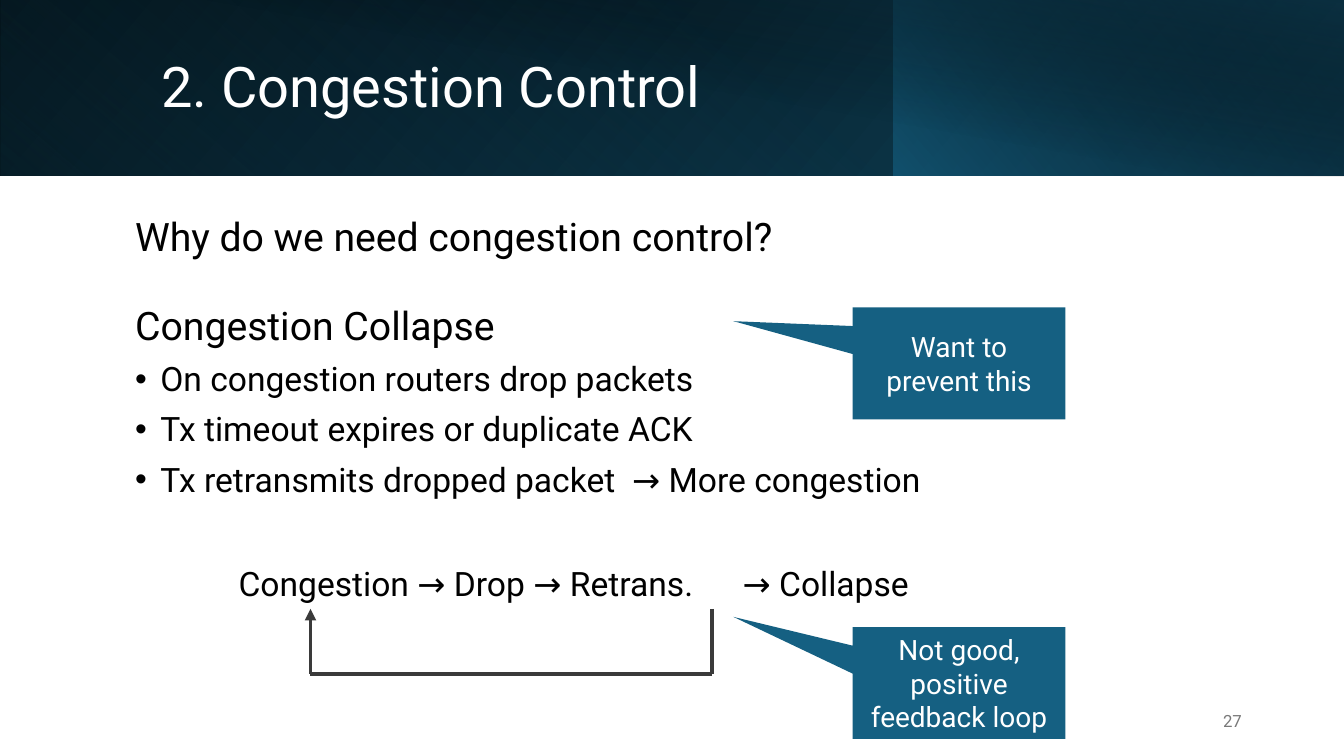
"""Build the congestion control slide with its feedback loop and two callouts."""
from lxml import etree
from pptx import Presentation, util as u
from pptx.dml.color import RGBColor
from pptx.enum import shapes, text
from pptx.oxml import ns

FONT = "Roboto"
COLORS = {
    "white": "FFFFFF", "black": "000000", "gray": "797979", "line": "3A3A3A",
    "teal": "156082", "deep": "104862", "navy": "0B3041",
}
TITLE = "2. Congestion Control"
QUESTION = "Why do we need congestion control?"
HEADING = "Congestion Collapse"
BULLETS = [
    "On congestion routers drop packets",
    "Tx timeout expires or duplicate ACK",
    "Tx retransmits dropped packet  → More congestion",
]
CHAIN = "Congestion → Drop → Retrans.\t→ Collapse"
CHAIN_TAB = 372
PAGE_NUMBER = "27"
CALLOUTS = [
    ("Not good, positive feedback loop", 447.9, -0.591),
    ("Want to prevent this", 219.6, -0.377),
]
CALLOUT_LEFT, CALLOUT_WIDTH, CALLOUT_HEIGHT, CALLOUT_TIP = 609.1, 151.9, 79.9, -1.061
LOOP = [(508.3, 434.9), (508.3, 481.2), (221.8, 481.2), (221.8, 434.9)]
BANDS = [
    {"box": (0, 0, 960, 125.3), "flip": True, "angle": 140,
     "stops": [(0, "black", 100), (100, "deep", 100)]},
    {"box": (0, 0, 639.4, 125.3), "flip": True, "turn": 180, "angle": 230,
     "stops": [(20, "teal", 0), (100, "navy", 55)]},
    {"box": (638.6, 0, 321.4, 125.3), "flip": True, "angle": 220,
     "stops": [(0, "teal", 66), (100, "black", 30)]},
    {"box": (36, 0, 924, 126), "angle": 280,
     "stops": [(50, "black", 0), (99, "navy", 52)]},
]


def rgb(name):
    return RGBColor.from_string(COLORS[name])


def add_child(parent, tag, **attributes):
    child = etree.SubElement(parent, ns.qn(tag))
    for key, value in attributes.items():
        child.set(key, str(value))
    return child


def place(shape, left, top, width, height):
    shape.left, shape.top = u.Pt(left), u.Pt(top)
    shape.width, shape.height = u.Pt(width), u.Pt(height)
    return shape


def prepare(shape, anchor=text.MSO_ANCHOR.TOP):
    frame = shape.text_frame
    frame.word_wrap = True
    frame.auto_size = text.MSO_AUTO_SIZE.NONE
    frame.vertical_anchor = anchor
    return frame


def write(para, content, size=24, color="black", align=text.PP_ALIGN.LEFT,
          before=0, after=0, spacing=1.0, bullet=False, tab=None):
    props = para._p.get_or_add_pPr()
    props.set("marL", str(u.Pt(18) if bullet else 0))
    props.set("indent", str(u.Pt(-18) if bullet else 0))
    if bullet:
        add_child(props, "a:buFont", typeface="Arial")
        add_child(props, "a:buChar", char="•")
    else:
        add_child(props, "a:buNone")
    if tab:
        add_child(add_child(props, "a:tabLst"), "a:tab", pos=u.Pt(tab), algn="l")
    para.alignment = align
    para.space_before, para.space_after = u.Pt(before), u.Pt(after)
    para.line_spacing = spacing
    span = para.add_run()
    span.text = content
    span.font.name, span.font.size = FONT, u.Pt(size)
    span.font.color.rgb = rgb(color)


def add_band(page, position, band):
    shape = page.shapes.add_shape(shapes.MSO_SHAPE.RECTANGLE, *map(u.Pt, band["box"]))
    shape.shadow.inherit = False
    shape.line.fill.background()
    shape.rotation = band.get("turn", 0)
    props = shape._element.spPr
    if band.get("flip"):
        props.find(ns.qn("a:xfrm")).set("flipH", "1")
    fill = etree.Element(ns.qn("a:gradFill"), rotWithShape="1")
    stops = add_child(fill, "a:gsLst")
    for offset, color, opacity in band["stops"]:
        stop = add_child(stops, "a:gs", pos=offset * 1000)
        tint = add_child(stop, "a:srgbClr", val=COLORS[color])
        if opacity < 100:
            add_child(tint, "a:alpha", val=opacity * 1000)
    add_child(fill, "a:lin", ang=band["angle"] * 60000, scaled=0)
    props.find(ns.qn("a:prstGeom")).addnext(fill)
    page.shapes._spTree.insert(2 + position, shape._element)


def add_loop(page):
    for start, end in zip(LOOP, LOOP[1:]):
        link = page.shapes.add_connector(
            shapes.MSO_CONNECTOR.STRAIGHT, *map(u.Pt, start + end))
        link.line.color.rgb = rgb("line")
        link.line.width = u.Pt(2.75)
        add_child(link._element.spPr, "a:effectLst")
        if end == LOOP[-1]:
            add_child(link.line._get_or_add_ln(), "a:tailEnd", type="triangle")


def add_callout(page, content, top, tip):
    shape = page.shapes.add_shape(
        shapes.MSO_SHAPE.RECTANGULAR_CALLOUT,
        *map(u.Pt, (CALLOUT_LEFT, top, CALLOUT_WIDTH, CALLOUT_HEIGHT)))
    shape.adjustments[0], shape.adjustments[1] = CALLOUT_TIP, tip
    shape.shadow.inherit = False
    shape.fill.solid()
    shape.fill.fore_color.rgb = rgb("teal")
    shape.line.fill.background()
    frame = prepare(shape, text.MSO_ANCHOR.MIDDLE)
    write(frame.paragraphs[0], content, size=20, color="white",
          align=text.PP_ALIGN.CENTER)


def main():
    deck = Presentation()
    deck.slide_width, deck.slide_height = u.Pt(960), u.Pt(540)
    page = deck.slides.add_slide(deck.slide_layouts[3])
    title, question, points = page.placeholders

    for position, band in enumerate(BANDS):
        add_band(page, position, band)

    place(title, 108, 23, 822.2, 81.4)
    write(prepare(title, text.MSO_ANCHOR.MIDDLE).paragraphs[0], TITLE,
          size=40, color="white", spacing=0.9)

    place(question, 89.3, 148.3, 822.2, 61.9)
    write(prepare(question).paragraphs[0], QUESTION, size=28, after=12)

    place(points, 89.3, 211.7, 859, 169.9)
    frame = prepare(points)
    write(frame.paragraphs[0], HEADING, size=28)
    for bullet in BULLETS:
        write(frame.add_paragraph(), bullet, before=10, spacing=0.9, bullet=True)

    number = page.shapes.add_textbox(*map(u.Pt, (678.2, 500.4, 216, 28.8)))
    write(prepare(number, text.MSO_ANCHOR.MIDDLE).paragraphs[0], PAGE_NUMBER,
          size=12, color="gray", align=text.PP_ALIGN.RIGHT)

    chain = page.shapes.add_textbox(*map(u.Pt, (163.4, 398.9, 724.3, 36)))
    write(prepare(chain).paragraphs[0], CHAIN, tab=CHAIN_TAB)

    add_loop(page)
    for content, top, tip in CALLOUTS:
        add_callout(page, content, top, tip)
    deck.save("out.pptx")


if __name__ == "__main__":
    main()
